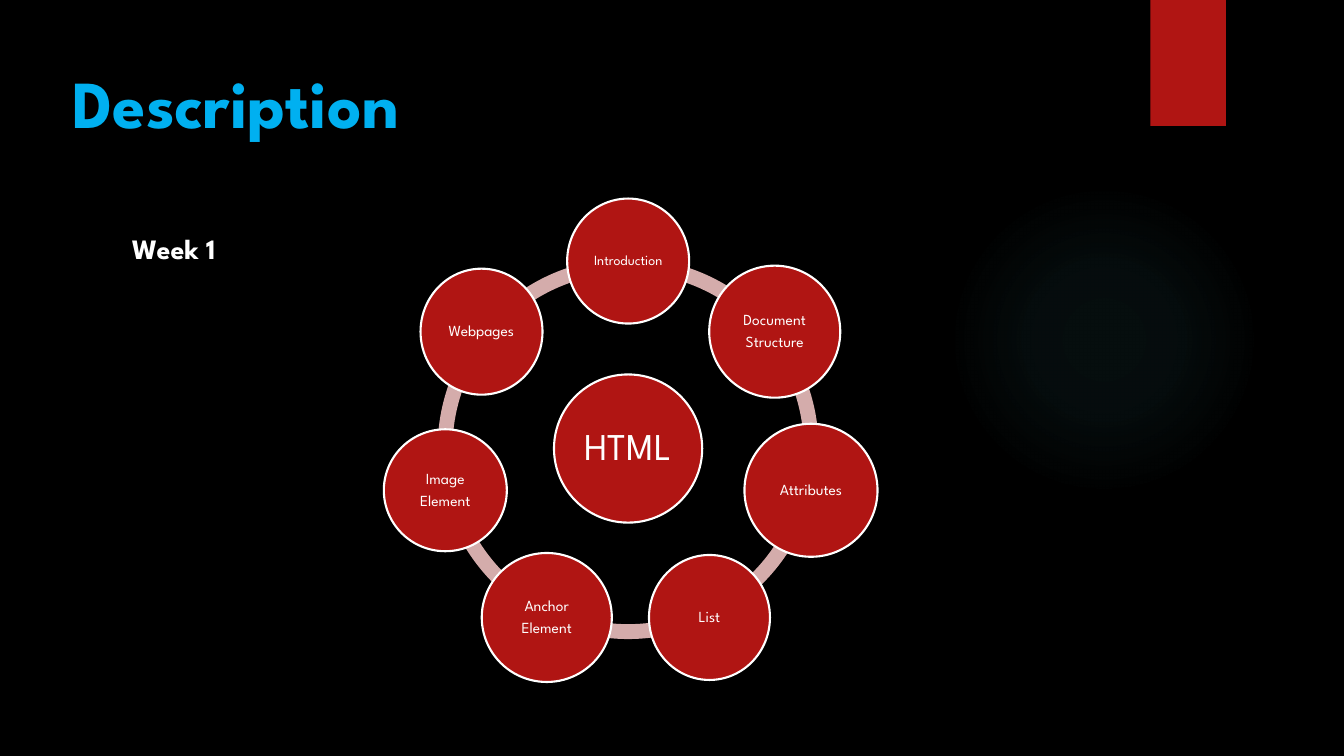
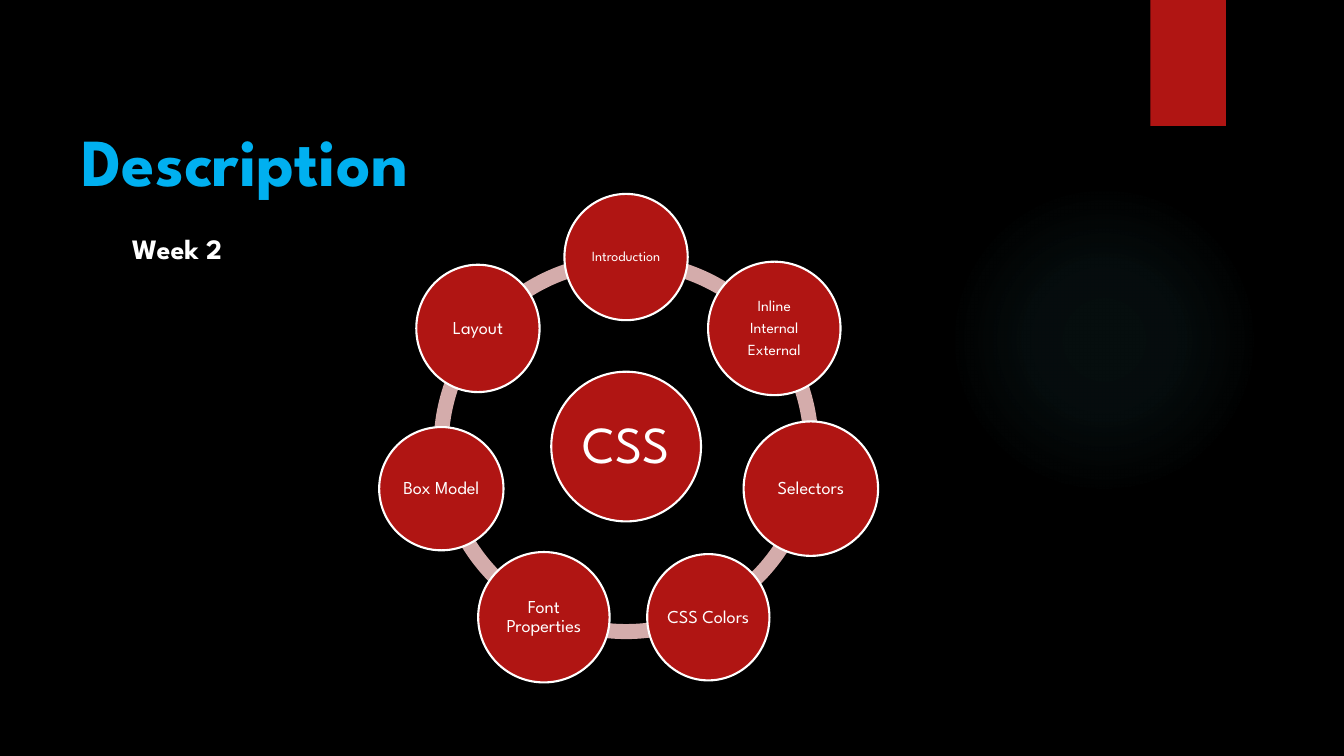
import math

from lxml import etree
from pptx import Presentation
from pptx.dml.color import RGBColor
from pptx.enum.shapes import MSO_SHAPE
from pptx.enum.text import MSO_ANCHOR, PP_ALIGN
from pptx.oxml.ns import nsdecls, qn
from pptx.util import Pt

PX = 9144
FONT = "League Spartan"
COLORS = {
    "background": "000000",
    "accent": "B01513",
    "ring": "D4ACAB",
    "glow": "50B9C1",
    "title": "00B0F0",
    "text": "FFFFFF",
}
OVAL, DONUT, RECTANGLE = MSO_SHAPE.OVAL, MSO_SHAPE.DONUT, MSO_SHAPE.RECTANGLE
TOP, MIDDLE, BOTTOM = MSO_ANCHOR.TOP, MSO_ANCHOR.MIDDLE, MSO_ANCHOR.BOTTOM
LEFT, CENTER = PP_ALIGN.LEFT, PP_ALIGN.CENTER

GLOW_STOPS = [(0, 7), (36, 6), (69, 0)]
BASE_RING = 378
HUB_SIZE = (147, 147)
NODE_SIZES = [(121, 124), (130, 131), (132, 132), (120, 124),
              (129, 128), (122, 121), (121, 125)]
ORBIT = 186

WEEKS = [
    {
        "title_box": (62, 22, 1165, 124),
        "week": "Week 1",
        "ring_box": (434, 256, 378, 378),
        "hub": ("HTML", 27),
        "nodes": [
            ("Introduction", 10), ("Document\nStructure", 11), ("Attributes", 11),
            ("List", 11), ("Anchor\nElement", 11), ("Image\nElement", 11),
            ("Webpages", 11),
        ],
    },
    {
        "title_box": (71, 50, 1029, 153),
        "week": "Week 2",
        "ring_box": (430, 252, 382, 382),
        "hub": ("CSS", 37),
        "nodes": [
            ("Introduction", 10), ("Inline\nInternal\nExternal", 11), ("Selectors", 13),
            ("CSS Colors", 13), ("Font Properties", 13), ("Box Model", 13),
            ("Layout", 13),
        ],
    },
]


def color(name):
    return RGBColor.from_string(COLORS[name])


def emu(box):
    return [round(length * PX) for length in box]


def add_preset(slide, preset, box, fill=None, line=None):
    shape = slide.shapes.add_shape(preset, *emu(box))
    shape.shadow.inherit = False
    if fill:
        shape.fill.solid()
        shape.fill.fore_color.rgb = color(fill)
    else:
        shape.fill.background()
    if line:
        shape.line.color.rgb = color(line)
        shape.line.width = Pt(1.5)
    else:
        shape.line.fill.background()
    return shape


def write_text(shape, text, size, name="text", bold=False, anchor=TOP,
               align=LEFT, margins=(0, 5, 0, 5), line_spacing=1, space_after=0):
    frame = shape.text_frame
    frame.word_wrap = True
    frame.vertical_anchor = anchor
    (frame.margin_left, frame.margin_top,
     frame.margin_right, frame.margin_bottom) = emu(margins)
    frame.text = text
    for paragraph in frame.paragraphs:
        paragraph.alignment = align
        paragraph.line_spacing = line_spacing
        paragraph.space_after = Pt(space_after)
        paragraph.font.name = FONT
        paragraph.font.size = Pt(size)
        paragraph.font.bold = bold
        paragraph.font.color.rgb = color(name)


def add_glow(slide, box):
    shape = add_preset(slide, OVAL, box)
    stops = "".join(
        f'<a:gs pos="{position * 1000}"><a:srgbClr val="{COLORS["glow"]}">'
        f'<a:alpha val="{alpha * 1000}"/></a:srgbClr></a:gs>'
        for position, alpha in GLOW_STOPS
    )
    gradient = etree.fromstring(
        f'<a:gradFill {nsdecls("a")}><a:gsLst>{stops}</a:gsLst><a:path path="circle">'
        '<a:fillToRect l="50000" t="50000" r="50000" b="50000"/></a:path></a:gradFill>'
    )
    properties = shape.fill._xPr
    properties.replace(properties.find(qn("a:noFill")), gradient)


def add_heading(slide, title_box, week):
    title = slide.shapes.add_textbox(*emu(title_box))
    write_text(title, "Description", 48, "title", True, BOTTOM, margins=(10, 5, 10, 5))
    body = slide.shapes.add_textbox(*emu((121, 225, 978, 459)))
    write_text(body, week, 20, bold=True, margins=(10, 5, 0, 5))


def add_circle(slide, center, size, label, font_size):
    (x, y), (width, height) = center, size
    box = (x - width / 2, y - height / 2, width, height)
    circle = add_preset(slide, OVAL, box, "accent", "text")
    write_text(circle, label, font_size, anchor=MIDDLE, align=CENTER,
               margins=(1, 1, 1, 1), line_spacing=0.9, space_after=0.35 * font_size)


def add_cycle(slide, box, hub, nodes):
    left, top, width, height = box
    scale = width / BASE_RING
    x, y = left + width / 2, top + height / 2
    ring = add_preset(slide, DONUT, box, "ring")
    ring.adjustments[0] = 0.039
    add_circle(slide, (x, y), [side * scale for side in HUB_SIZE], *hub)
    for index, (node, size) in enumerate(zip(nodes, NODE_SIZES)):
        angle = math.tau * index / len(nodes)
        center = (x + ORBIT * scale * math.sin(angle),
                  y - ORBIT * scale * math.cos(angle))
        add_circle(slide, center, [side * scale for side in size], *node)


def add_week_slide(presentation, week):
    slide = presentation.slides.add_slide(presentation.slide_layouts[6])
    slide.background.fill.solid()
    slide.background.fill.fore_color.rgb = color("background")
    add_glow(slide, (941, 183, 308, 308))
    add_preset(slide, RECTANGLE, (1141, 0, 75, 125), "accent")
    add_heading(slide, week["title_box"], week["week"])
    add_cycle(slide, week["ring_box"], week["hub"], week["nodes"])


def main():
    presentation = Presentation()
    presentation.slide_width, presentation.slide_height = emu((1333, 750))
    for week in WEEKS:
        add_week_slide(presentation, week)
    presentation.save("out.pptx")


if __name__ == "__main__":
    main()
